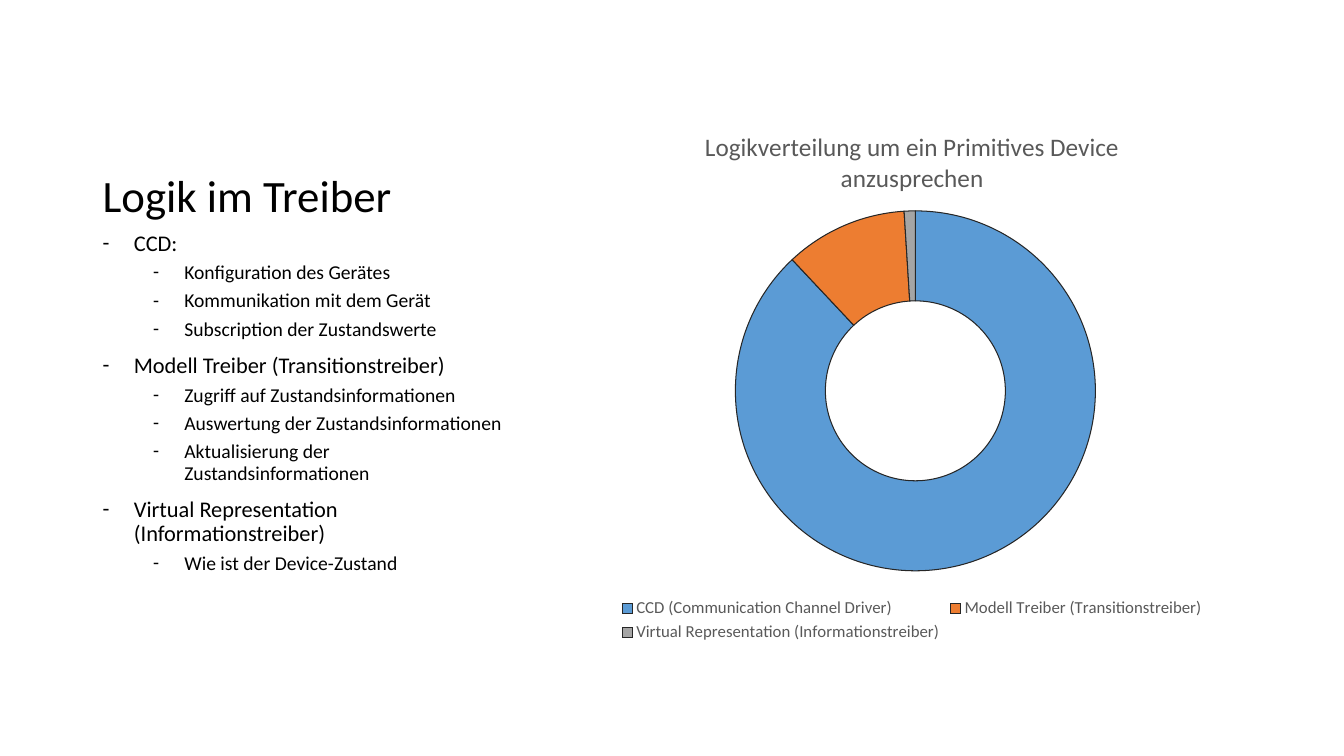
from dataclasses import dataclass
from lxml.etree import SubElement
from pptx import Presentation
from pptx.chart.data import CategoryChartData
from pptx.dml.color import RGBColor
from pptx.enum.chart import XL_CHART_TYPE, XL_LEGEND_POSITION
from pptx.enum.text import MSO_ANCHOR
from pptx.oxml import parse_xml
from pptx.oxml.ns import nsdecls, qn
from pptx.util import Inches, Pt


@dataclass(frozen=True)
class Theme:
    font: str = "Calibri"
    text: str = "000000"
    muted: str = "595959"
    outline: str = "262626"
    slices: tuple = ("5B9BD5", "ED7D31", "A5A5A5")
    heading: int = 32
    levels: tuple = (16, 14)
    spacing: tuple = (10, 5)
    chart_title: int = 18
    legend: int = 12


theme = Theme()
deck = Presentation()
deck.slide_width, deck.slide_height = Inches(13.33), Inches(7.5)
page = deck.slides.add_slide(deck.slide_layouts[6])


def area(left, top, width, height):
    return [
        round(share * side)
        for share, side in zip(
            (left, top, width, height), (deck.slide_width, deck.slide_height) * 2
        )
    ]


def style_font(font, size, color):
    for name, value in {"name": theme.font, "size": Pt(size), "bold": False}.items():
        setattr(font, name, value)
    font.color.rgb = RGBColor.from_string(color)


left, width, split = 0.069, 0.3225, 0.3
heading_box = page.shapes.add_textbox(*area(left, 0.0667, width, split - 0.0667))
body_box = page.shapes.add_textbox(*area(left, split, width, 0.556))
for box, anchor in ((heading_box, MSO_ANCHOR.BOTTOM), (body_box, MSO_ANCHOR.TOP)):
    box.text_frame.word_wrap = True
    box.text_frame.vertical_anchor = anchor

heading = heading_box.text_frame.paragraphs[0]
heading.line_spacing = 0.9
span = heading.add_run()
span.text = "Logik im Treiber"
style_font(span.font, theme.heading, theme.text)

outline = {
    "CCD:": [
        "Konfiguration des Gerätes",
        "Kommunikation mit dem Gerät",
        "Subscription der Zustandswerte",
    ],
    "Modell Treiber (Transitionstreiber)": [
        "Zugriff auf Zustandsinformationen",
        "Auswertung der Zustandsinformationen",
        "Aktualisierung der Zustandsinformationen",
    ],
    "Virtual Representation (Informationstreiber)": ["Wie ist der Device-Zustand"],
}
entries = [
    (level, text)
    for topic, details in outline.items()
    for level, text in [(0, topic)] + [(1, detail) for detail in details]
]
hanging = Inches(0.31)
for index, (level, text) in enumerate(entries):
    frame = body_box.text_frame
    para = frame.add_paragraph() if index else frame.paragraphs[0]
    formats = {
        "level": level,
        "line_spacing": 0.9,
        "space_before": Pt(theme.spacing[level]),
    }
    for name, value in formats.items():
        setattr(para, name, value)
    properties = para._p.get_or_add_pPr()
    properties.set("marL", str(hanging + level * Inches(0.5)))
    properties.set("indent", str(-hanging))
    SubElement(properties, qn("a:buFont"), typeface=theme.font)
    SubElement(properties, qn("a:buChar"), char="-")
    span = para.add_run()
    span.text = text
    style_font(span.font, theme.levels[level], theme.text)

shares = {
    "CCD (Communication Channel Driver)": 88,
    "Modell Treiber (Transitionstreiber)": 11,
    "Virtual Representation (Informationstreiber)": 1,
}
chart_data = CategoryChartData()
chart_data.categories = list(shares)
chart_data.add_series("Series 1", list(shares.values()))
chart = page.shapes.add_chart(
    XL_CHART_TYPE.DOUGHNUT, *area(0.4254, 0.144, 0.5064, 0.7107), chart_data
).chart
style_font(chart.font, 10, theme.text)

chart.has_title = True
chart.chart_title.include_in_layout = False
span = chart.chart_title.text_frame.paragraphs[0].add_run()
span.text = "Logikverteilung um ein Primitives Device anzusprechen"
style_font(span.font, theme.chart_title, theme.muted)

chart.has_legend = True
chart.legend.position = XL_LEGEND_POSITION.BOTTOM
chart.legend.include_in_layout = False
style_font(chart.legend.font, theme.legend, theme.muted)

plot = chart.plots[0]
plot.vary_by_categories = True
plot.has_data_labels = False
for index, color in enumerate(theme.slices):
    slice_format = plot.series[0].points[index].format
    slice_format.fill.solid()
    slice_format.fill.fore_color.rgb = RGBColor.from_string(color)
    slice_format.line.color.rgb = RGBColor.from_string(theme.outline)
    slice_format.line.width = Pt(0.75)

chart_root = chart._chartSpace
chart_root.find(".//" + qn("c:holeSize")).set("val", "75")
plot_area = chart_root.find(".//" + qn("c:plotArea"))
for layout in plot_area.findall(qn("c:layout")):
    plot_area.remove(layout)
ring = {"x": 0.24, "y": 0.19, "w": 0.53, "h": 0.67}
values = "".join(f'<c:{side} val="{share}"/>' for side, share in ring.items())
plot_area.insert(
    0,
    parse_xml(
        f'<c:layout {nsdecls("c")}><c:manualLayout><c:layoutTarget val="inner"/>'
        f'<c:xMode val="edge"/><c:yMode val="edge"/>{values}'
        "</c:manualLayout></c:layout>"
    ),
)

deck.save("out.pptx")
